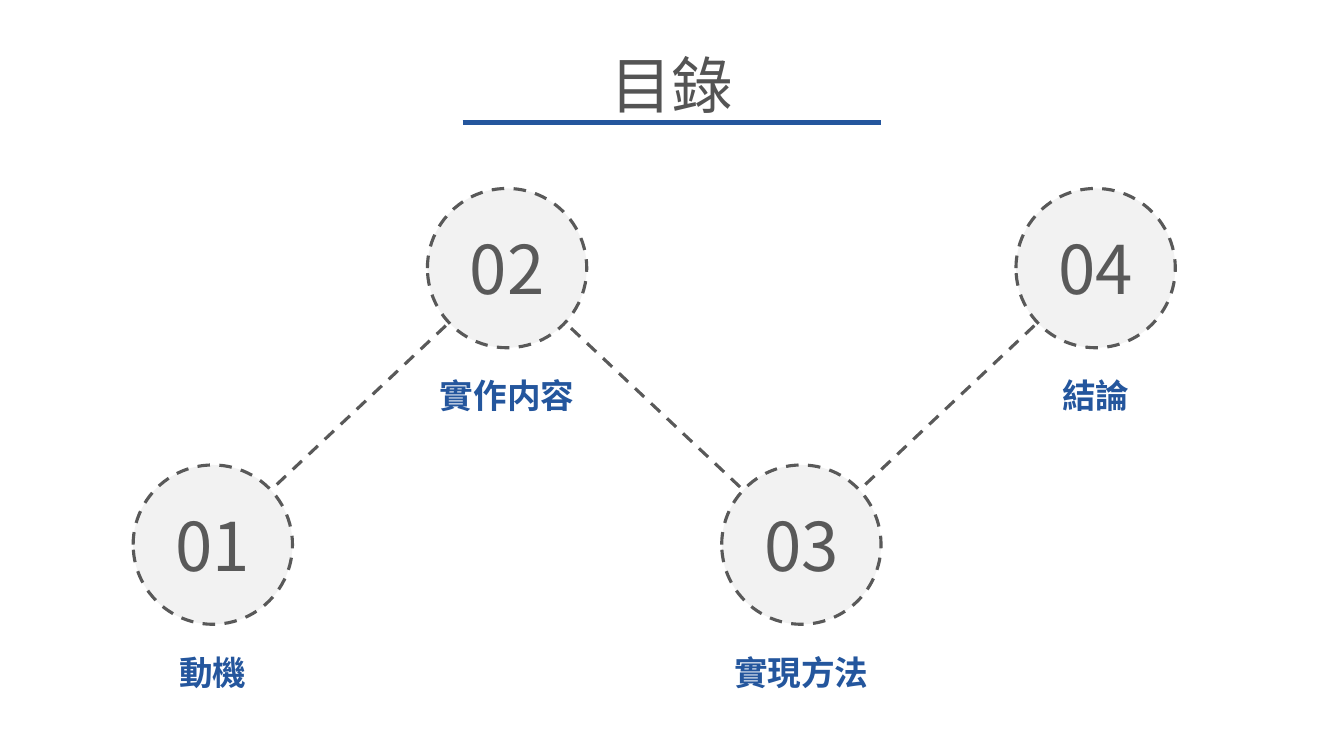
from lxml import etree
from pptx import Presentation
from pptx.dml.color import RGBColor
from pptx.enum.dml import MSO_LINE
from pptx.enum.shapes import MSO_CONNECTOR, MSO_SHAPE
from pptx.enum.text import MSO_ANCHOR, MSO_AUTO_SIZE, PP_ALIGN
from pptx.oxml.ns import qn
from pptx.util import Pt

DASH = MSO_LINE.DASH
STRAIGHT = MSO_CONNECTOR.STRAIGHT
OVAL = MSO_SHAPE.OVAL
MIDDLE = MSO_ANCHOR.MIDDLE
GROW = MSO_AUTO_SIZE.SHAPE_TO_FIT_TEXT
CENTER = PP_ALIGN.CENTER

FONT = "Noto Sans CJK SC"
COLORS = {"title": "545454", "accent": "24569D", "gray": "595959", "circle": "F2F2F2"}

SLIDE_WIDTH, SLIDE_HEIGHT = 960, 540
TOPICS = ["動機", "實作内容", "實現方法", "結論"]
FIRST_X, STEP_X = 152, 210.2
LOW_Y, HIGH_Y = 389, 191.5
DIAMETER = 113.8
LABEL_DROP = 73


def color(name):
    return RGBColor.from_string(COLORS[name])


def write(frame, text, size, color_name, bold=False):
    """Fill a text frame with one centred paragraph."""
    paragraph = frame.paragraphs[0]
    paragraph.text = text
    paragraph.alignment = CENTER
    font = paragraph.font
    font.size = Pt(size)
    font.bold = bold
    font.name = FONT
    font.color.rgb = color(color_name)
    # Chinese characters take the East Asian typeface
    defaults = paragraph._p.pPr.find(qn("a:defRPr"))
    etree.SubElement(defaults, qn("a:ea")).set("typeface", FONT)


def add_text(slide, text, center_x, top, width, height, size, color_name, bold=False):
    box = slide.shapes.add_textbox(
        Pt(center_x - width / 2), Pt(top), Pt(width), Pt(height))
    box.text_frame.word_wrap = False
    box.text_frame.auto_size = GROW
    write(box.text_frame, text, size, color_name, bold)


def style_line(line, color_name, width, dash=None):
    line.color.rgb = color(color_name)
    line.width = Pt(width)
    if dash is not None:
        line.dash_style = dash


def add_line(slide, start, end, color_name, width, dash=None):
    connector = slide.shapes.add_connector(
        STRAIGHT, *(Pt(value) for value in (*start, *end)))
    style_line(connector.line, color_name, width, dash)
    etree.SubElement(connector._element.spPr, qn("a:effectLst"))


def add_number_circle(slide, center, number):
    x, y = center
    circle = slide.shapes.add_shape(
        OVAL, Pt(x - DIAMETER / 2), Pt(y - DIAMETER / 2), Pt(DIAMETER), Pt(DIAMETER))
    circle.shadow.inherit = False
    circle.fill.solid()
    circle.fill.fore_color.rgb = color("circle")
    style_line(circle.line, "gray", 2.25, DASH)
    circle.text_frame.vertical_anchor = MIDDLE
    write(circle.text_frame, f"{number:02d}", 48, "gray")


def main():
    presentation = Presentation()
    presentation.slide_width = Pt(SLIDE_WIDTH)
    presentation.slide_height = Pt(SLIDE_HEIGHT)
    slide = presentation.slides.add_slide(presentation.slide_layouts[6])

    # Title with its underline
    add_text(slide, "目錄", SLIDE_WIDTH / 2, 30.2, 103.7, 60.5, 44, "title")
    add_line(slide, (330.5, 87.8), (629.3, 87.8), "accent", 3.5)

    # Zigzag path, drawn behind the circles
    centers = [(FIRST_X + i * STEP_X, HIGH_Y if i % 2 else LOW_Y)
               for i in range(len(TOPICS))]
    for start, end in zip(centers, centers[1:]):
        add_line(slide, start, end, "gray", 2.25, DASH)

    # Numbered topics
    for number, (center, topic) in enumerate(zip(centers, TOPICS), start=1):
        add_number_circle(slide, center, number)
        x, y = center
        label_width = 14.4 + 24 * len(topic)
        add_text(slide, topic, x, y + LABEL_DROP, label_width, 36, 24, "accent", bold=True)

    presentation.save("out.pptx")


if __name__ == "__main__":
    main()
